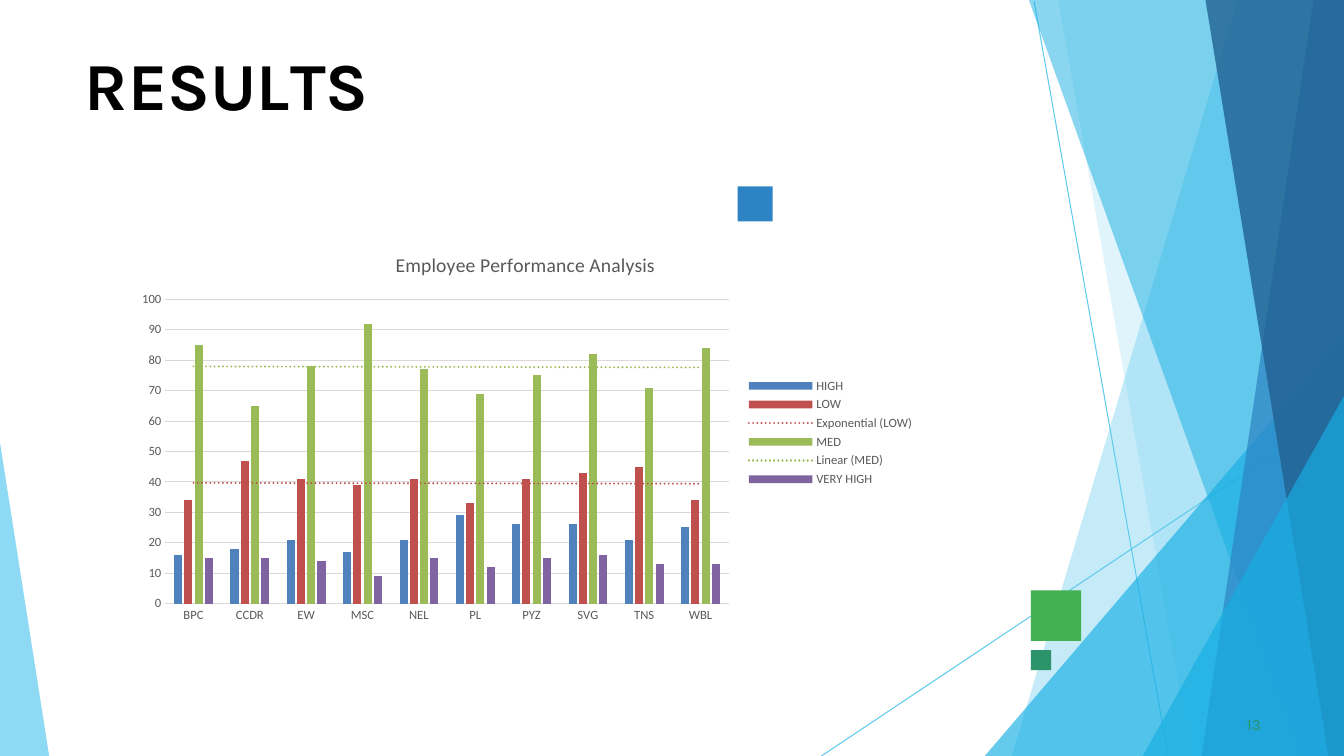
from lxml.etree import SubElement
from pptx import Presentation
from pptx.chart.data import CategoryChartData
from pptx.dml.color import RGBColor
from pptx.enum.chart import XL_CHART_TYPE as ChartType
from pptx.enum.chart import XL_LEGEND_POSITION as LegendPosition
from pptx.enum.chart import XL_TICK_MARK as TickMark
from pptx.enum.shapes import MSO_CONNECTOR as Connector
from pptx.enum.shapes import MSO_SHAPE as Shape
from pptx.enum.text import MSO_ANCHOR as Anchor
from pptx.enum.text import MSO_AUTO_SIZE as AutoSize
from pptx.enum.text import PP_ALIGN as Align
from pptx.oxml import parse_xml
from pptx.oxml.ns import nsdecls, qn
from pptx.util import Cm, Pt

BLACK = RGBColor(0x00, 0x00, 0x00)
GREY = RGBColor(0x59, 0x59, 0x59)
PALE_GREY = RGBColor(0xD9, 0xD9, 0xD9)
SKY = RGBColor(0x5F, 0xCA, 0xEE)
CYAN = RGBColor(0x17, 0xAF, 0xE3)
BLUE = RGBColor(0x2D, 0x83, 0xC3)
NAVY = RGBColor(0x22, 0x61, 0x92)
GREEN = RGBColor(0x42, 0xAF, 0x51)
TEAL = RGBColor(0x2D, 0x93, 0x6B)
BAR_BLUE = RGBColor(0x4F, 0x81, 0xBD)
BAR_RED = RGBColor(0xC0, 0x50, 0x4D)
BAR_GREEN = RGBColor(0x9B, 0xBB, 0x59)
BAR_PURPLE = RGBColor(0x80, 0x64, 0xA2)

WIDTH, HEIGHT = 33.87, 19.05

RAYS = [
    ((26.06, 0.03), (29.44, HEIGHT)),
    ((WIDTH, 10.26), (20.7, HEIGHT)),
]
FACETS = [
    (31.19, 0, 25.5, SKY, 36),
    (26.67, 0, 30.02, SKY, 20),
    (WIDTH, 8.46, 24.82, CYAN, 66),
    (25.93, 0, 32.79, CYAN, 50),
    (33.1, 0, 30.28, BLUE, 70),
    (30.38, 0, 33.48, NAVY, 80),
    (WIDTH, 9.98, 28.8, CYAN, 66),
]
SQUARES = [
    (25.98, 14.88, 1.27, GREEN),
    (18.59, 4.7, 0.88, BLUE),
    (25.98, 16.38, 0.51, TEAL),
]
TITLE_RUNS = [("R", 0), ("E", -0.4), ("S", 0.1), ("U", -0.3), ("L", -4), ("TS", 0)]
DEPARTMENTS = ["BPC", "CCDR", "EW", "MSC", "NEL", "PL", "PYZ", "SVG", "TNS", "WBL"]
RATINGS = [
    ("HIGH", [16, 18, 21, 17, 21, 29, 26, 26, 21, 25], BAR_BLUE, None),
    ("LOW", [34, 47, 41, 39, 41, 33, 41, 43, 45, 34], BAR_RED, "exp"),
    ("MED", [85, 65, 78, 92, 77, 69, 75, 82, 71, 84], BAR_GREEN, "linear"),
    ("VERY HIGH", [15, 15, 14, 9, 15, 12, 15, 16, 13, 13], BAR_PURPLE, None),
]


def set_font(font, name, size, color, bold=False):
    font.name = name
    font.size = Pt(size)
    font.bold = bold
    font.color.rgb = color


def write(paragraph, text, font="Karla", size=11, color=BLACK, bold=False, spacing=0):
    run = paragraph.add_run()
    run.text = text
    set_font(run.font, font, size, color, bold)
    if spacing:
        run.font._element.set("spc", str(round(spacing * 100)))


class ResultsSlide:
    heading_font = "Karla"
    chart_font = "Calibri"

    def __init__(self, deck):
        self.slide = deck.slides.add_slide(deck.slide_layouts[5])
        self.shapes = self.slide.shapes

    def ray(self, start, end):
        ray = self.shapes.add_connector(Connector.STRAIGHT, *map(Cm, start + end))
        ray.line.color.rgb = SKY
        ray.line.width = Pt(0.75)
        SubElement(ray._element.spPr, qn("a:effectLst"))

    def paint(self, shape, color, opacity=100):
        shape.shadow.inherit = False
        shape.fill.solid()
        shape.fill.fore_color.rgb = color
        shape.line.fill.background()
        if opacity < 100:
            tint = shape._element.spPr.find(".//" + qn("a:srgbClr"))
            SubElement(tint, qn("a:alpha"), val=str(opacity * 1000))

    def facet(self, corners, color, opacity):
        points = [(Cm(x), Cm(y)) for x, y in corners]
        outline = self.shapes.build_freeform(*points[0], scale=1.0)
        outline.add_line_segments(points[1:], close=True)
        self.paint(outline.convert_to_shape(), color, opacity)

    def square(self, left, top, side, color):
        box = map(Cm, (left, top, side, side))
        self.paint(self.shapes.add_shape(Shape.RECTANGLE, *box), color)

    def prepare_frame(self, frame, indent, space_before):
        frame.margin_left = frame.margin_right = frame.margin_bottom = 0
        frame.margin_top = Cm(0.03)
        frame.word_wrap = True
        frame.auto_size = AutoSize.NONE
        frame.vertical_anchor = Anchor.TOP
        paragraph = frame.paragraphs[0]
        paragraph.alignment = Align.LEFT
        paragraph.space_before = Pt(space_before)
        paragraph._p.get_or_add_pPr().set("marL", str(Cm(indent)))
        return paragraph

    def title(self, runs):
        heading = self.shapes.title
        heading.left, heading.top = Cm(2.11), Cm(1.07)
        heading.width, heading.height = Cm(22.66), Cm(10.29)
        paragraph = self.prepare_frame(heading.text_frame, 0.03, 1.1)
        for text, spacing in runs:
            write(paragraph, text, font=self.heading_font, size=48, bold=True, spacing=spacing)

    def page_number(self, number):
        box = self.shapes.add_textbox(Cm(31.32), Cm(17.98), Cm(0.64), Cm(0.53))
        paragraph = self.prepare_frame(box.text_frame, 0.1, 0.6)
        write(paragraph, number, font=self.heading_font, color=TEAL, spacing=0.1)

    def trend(self, series, kind, color):
        trendline = parse_xml(
            f'<c:trendline {nsdecls("c", "a")}><c:spPr><a:ln w="{Pt(1.5)}" cap="rnd">'
            f'<a:solidFill><a:srgbClr val="{color}"/></a:solidFill>'
            f'<a:prstDash val="sysDot"/></a:ln></c:spPr>'
            f'<c:trendlineType val="{kind}"/><c:dispRSqr val="0"/>'
            f'<c:dispEq val="0"/></c:trendline>'
        )
        series._element.find(qn("c:cat")).addprevious(trendline)

    def axis(self, axis):
        axis.major_tick_mark = axis.minor_tick_mark = TickMark.NONE
        set_font(axis.tick_labels.font, self.chart_font, 9, GREY)

    def chart(self, heading, categories, ratings):
        data = CategoryChartData()
        data.categories = categories
        for name, values, _, _ in ratings:
            data.add_series(name, values)
        area = map(Cm, (3.18, 5.92, 20.12, 9.96))
        chart = self.shapes.add_chart(ChartType.COLUMN_CLUSTERED, *area, data).chart
        set_font(chart.font, self.chart_font, 10, BLACK)

        chart.has_title = True
        write(chart.chart_title.text_frame.paragraphs[0], heading,
              font=self.chart_font, size=14, color=GREY)
        chart.chart_title.include_in_layout = False
        chart.has_legend = True
        chart.legend.position = LegendPosition.RIGHT
        chart.legend.include_in_layout = False
        set_font(chart.legend.font, self.chart_font, 9, GREY)

        scores, departments = chart.value_axis, chart.category_axis
        self.axis(scores)
        self.axis(departments)
        scores.minimum_scale, scores.maximum_scale, scores.major_unit = 0, 100, 10
        scores.format.line.fill.background()
        for line in (scores.major_gridlines.format.line, departments.format.line):
            line.color.rgb = PALE_GREY
            line.width = Pt(0.75)

        plot = chart.plots[0]
        plot.gap_width, plot.overlap = 219, -27
        plot.vary_by_categories = False
        for series, (_, _, color, kind) in zip(plot.series, ratings):
            series.format.fill.solid()
            series.format.fill.fore_color.rgb = color
            if kind:
                self.trend(series, kind, color)


def main():
    deck = Presentation()
    deck.slide_width, deck.slide_height = Cm(WIDTH), Cm(HEIGHT)
    results = ResultsSlide(deck)
    for start, end in RAYS:
        results.ray(start, end)
    for top_x, top_y, bottom_x, color, opacity in FACETS:
        corners = [(WIDTH, top_y), (top_x, top_y), (bottom_x, HEIGHT), (WIDTH, HEIGHT)]
        results.facet(list(dict.fromkeys(corners)), color, opacity)
    results.facet([(0, 11.15), (0, HEIGHT), (1.24, HEIGHT)], SKY, 70)
    for square in SQUARES:
        results.square(*square)
    results.title(TITLE_RUNS)
    results.page_number("13")
    results.chart("Employee Performance Analysis", DEPARTMENTS, RATINGS)
    deck.save("out.pptx")


if __name__ == "__main__":
    main()
